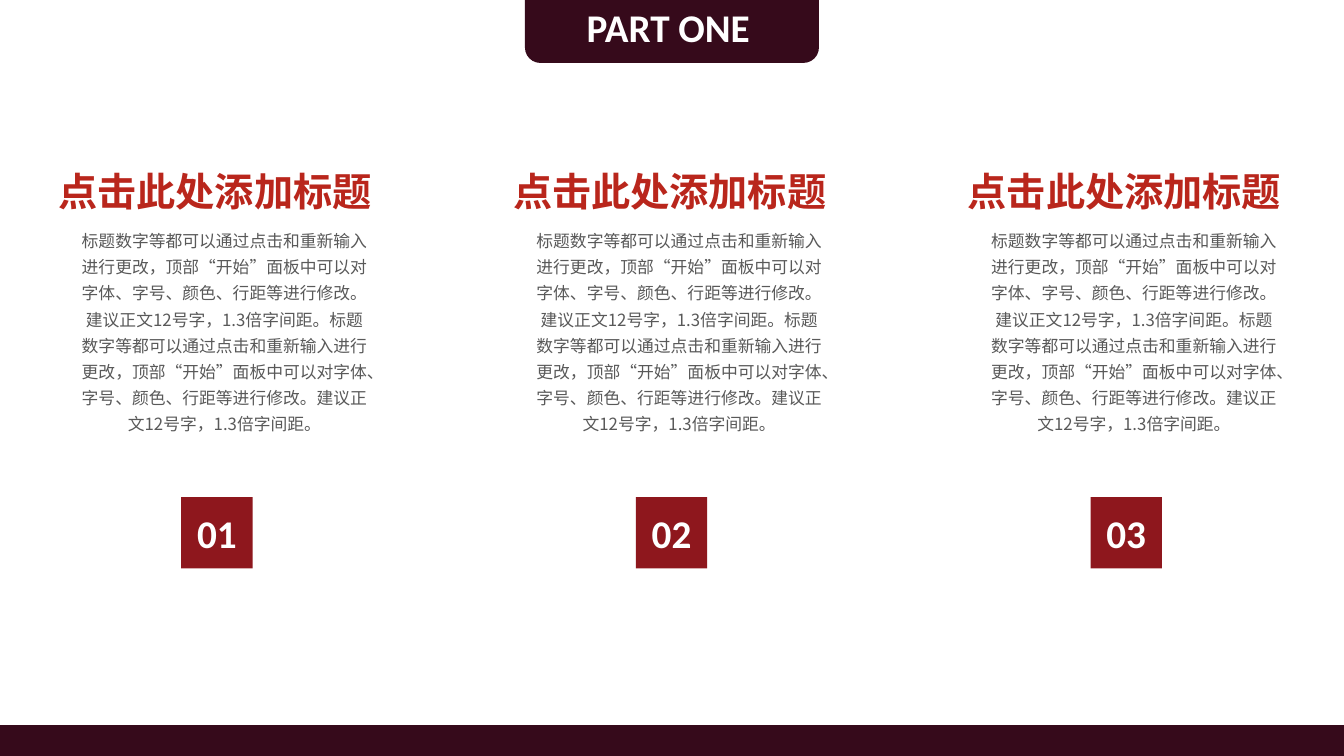
"""Build the PART ONE slide with three numbered text columns."""
from lxml.etree import SubElement
from pptx import Presentation
from pptx.dml.color import RGBColor
from pptx.enum.lang import MSO_LANGUAGE_ID as Language
from pptx.enum.shapes import MSO_SHAPE as Shape
from pptx.enum.text import MSO_ANCHOR as Anchor, MSO_AUTO_SIZE as AutoSize, PP_ALIGN as Align
from pptx.oxml.ns import qn
from pptx.util import Pt

PLUM = RGBColor(0x36, 0x0A, 0x1B)
CRIMSON = RGBColor(0x8E, 0x17, 0x1D)
RED = RGBColor(0xB9, 0x26, 0x1C)
GREY = RGBColor(0x59, 0x59, 0x59)
WHITE = RGBColor(0xFF, 0xFF, 0xFF)
LATIN = "Calibri"
CHINESE = "Noto Sans CJK SC"
COLUMN_PITCH = 324.8
TITLE = "点击此处添加标题"
BODY = (
    "标题数字等都可以通过点击和重新输入进行更改，顶部“开始”面板中可以对字体、字号、颜色、行距等进行修改。"
    "建议正文12号字，1.3倍字间距。"
) * 2

deck = Presentation()
deck.slide_width, deck.slide_height = Pt(960), Pt(540)
page = deck.slides.add_slide(deck.slide_layouts[6])


def add_block(kind, left, top, width, height, color):
    block = page.shapes.add_shape(kind, Pt(left), Pt(top), Pt(width), Pt(height))
    block.shadow.inherit = False
    block.fill.solid()
    block.fill.fore_color.rgb = color
    block.line.fill.background()
    return block


def write(box, text, size, face, color, bold, align):
    para = box.text_frame.paragraphs[0]
    para.alignment = align
    span = para.add_run()
    span.text = text
    font = span.font
    font.size, font.name, font.bold = Pt(size), face, bold
    font.color.rgb = color
    if face == CHINESE:
        font.language_id = Language.SIMPLIFIED_CHINESE
        SubElement(span._r.get_or_add_rPr(), qn("a:ea")).set("typeface", face)
    return para


add_block(Shape.RECTANGLE, 0, 518, 960, 22, PLUM)
add_block(Shape.ROUNDED_RECTANGLE, 375, -21, 210, 66, PLUM)

heading = page.shapes.add_textbox(Pt(412), Pt(-1.3), Pt(154), Pt(41))
heading.text_frame.word_wrap = True
heading.text_frame.auto_size = AutoSize.SHAPE_TO_FIT_TEXT
write(heading, "PART ONE", 28, LATIN, WHITE, True, Align.LEFT)

for column, number in enumerate(["01", "02", "03"]):
    shift = column * COLUMN_PITCH

    title = page.shapes.add_textbox(Pt(34.6 + shift), Pt(116), Pt(240.4), Pt(41))
    title.text_frame.word_wrap = False
    title.text_frame.auto_size = AutoSize.SHAPE_TO_FIT_TEXT
    write(title, TITLE, 28, CHINESE, RED, True, Align.LEFT)

    body = page.shapes.add_textbox(Pt(48.4 + shift), Pt(157), Pt(224), Pt(157))
    body.text_frame.word_wrap = True
    body.text_frame.auto_size = AutoSize.SHAPE_TO_FIT_TEXT
    para = write(body, BODY, 12, CHINESE, GREY, False, Align.CENTER)
    para.line_spacing = 1.3

    badge = add_block(Shape.RECTANGLE, 129.4 + shift, 355, 51, 51, CRIMSON)
    badge.text_frame.vertical_anchor = Anchor.MIDDLE
    write(badge, number, 28, LATIN, WHITE, True, Align.CENTER)

deck.save("out.pptx")
